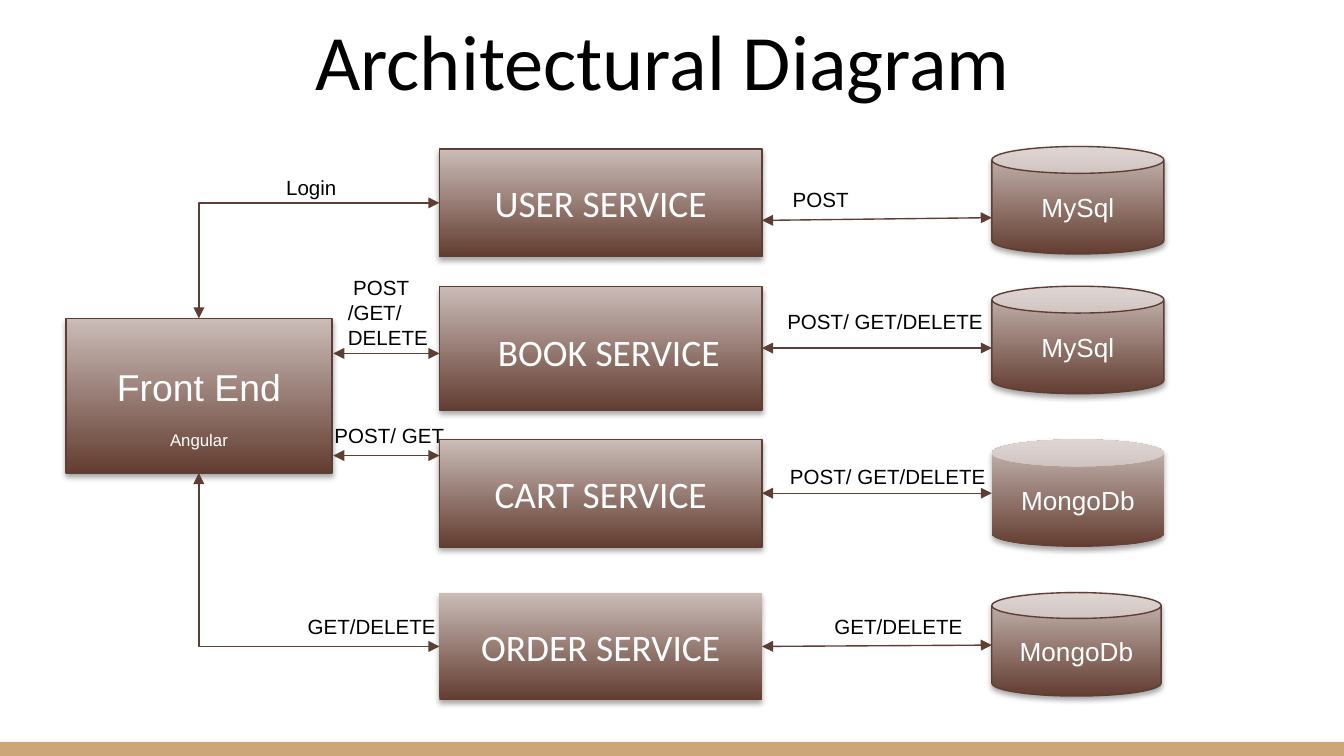
from lxml.etree import SubElement
from pptx import Presentation
from pptx.dml.color import RGBColor
from pptx.enum.shapes import MSO_CONNECTOR, MSO_SHAPE
from pptx.enum.text import MSO_ANCHOR, MSO_AUTO_SIZE, PP_ALIGN
from pptx.oxml.ns import qn
from pptx.util import Inches, Pt

BLACK = RGBColor(0x00, 0x00, 0x00)
WHITE = RGBColor(0xFF, 0xFF, 0xFF)
DARK_BROWN = RGBColor(0x63, 0x3D, 0x31)
PALE_BROWN = RGBColor(0xCB, 0xBC, 0xB8)
OUTLINE = RGBColor(0x5C, 0x3E, 0x35)
TAN = RGBColor(0xCC, 0xA6, 0x77)

TITLE_FONT = {"name": "Calibri", "size": Pt(42), "bold": False}
SERVICE_FONT = {"name": "Calibri", "size": Pt(20)}
FRONT_END_FONT = {"name": "Arial", "size": Pt(20)}
ANGULAR_FONT = {"name": "Arial", "size": Pt(9)}
DATABASE_FONT = {"name": "Arial", "size": Pt(14)}
LABEL_FONT = {"name": "Arial", "size": Pt(11)}

# Column edges shared by the boxes and the arrows between them
FRONT_CENTER, FRONT_RIGHT = 1.48, 2.48
SERVICE_LEFT, SERVICE_WIDTH = 3.27, 2.4
SERVICE_RIGHT = SERVICE_LEFT + SERVICE_WIDTH
DATABASE_LEFT = 7.38

# name, top, height, outlined
SERVICES = [
    ("USER SERVICE", 1.11, 0.8, True),
    ("CART SERVICE", 3.27, 0.8, True),
    ("ORDER SERVICE", 4.41, 0.8, False),
]
# name, top, width, height, outlined
DATABASES = [
    ("MySql", 1.09, 1.28, 0.8, True),
    ("MySql", 2.13, 1.28, 0.8, True),
    ("MongoDb", 3.27, 1.28, 0.8, False),
    ("MongoDb", 4.41, 1.26, 0.77, True),
]
# y at the service, y at the database
DATABASE_ARROWS = [(1.64, 1.62), (2.59, 2.59), (3.67, 3.67), (4.81, 4.8)]
FRONT_END_ARROWS = [2.63, 3.39]
# y at the service, y at the front end
BENT_ARROWS = [(1.51, 2.37), (4.81, 3.52)]
# text, left, top, width, height, indent of the first line
LABELS = [
    ("POST", 5.76, 1.34, 1.28, 0.29, 0.04),
    ("POST/ GET/DELETE", 5.76, 2.25, 1.67, 0.29, 0),
    ("POST/ GET/DELETE", 5.78, 3.4, 1.67, 0.29, 0),
    ("GET/DELETE", 6.07, 4.52, 1.21, 0.29, 0.04),
    ("Login", 1.99, 1.25, 1.28, 0.28, 0.04),
    ("POST\v/GET/\nDELETE", 2.49, 2, 0.9, 0.66, 0.04),
    ("POST/ GET", 2.39, 3.1, 1.28, 0.29, 0),
    ("GET/DELETE", 2.15, 4.52, 1.28, 0.29, 0.04),
]


def apply_format(target, values):
    for name, value in values.items():
        setattr(target, name, value)


def style_text(paragraph, font, color, align=PP_ALIGN.CENTER):
    paragraph.alignment = align
    apply_format(paragraph.font, font)
    paragraph.font.color.rgb = color


def style_box(shape, outlined=True):
    """Brown gradient, thin outline and soft shadow below."""
    shape.fill.gradient()
    shape.fill.gradient_angle = 90
    for stop, color in zip(shape.fill.gradient_stops, (DARK_BROWN, PALE_BROWN)):
        stop.color.rgb = color
    if outlined:
        shape.line.color.rgb = OUTLINE
        shape.line.width = Pt(0.75)
    else:
        shape.line.fill.background()
    shape.shadow.inherit = False
    effects = shape._element.spPr.find(qn("a:effectLst"))
    shadow = SubElement(effects, qn("a:outerShdw"), blurRad=str(Pt(3.1)),
                        dist=str(Pt(1.8)), dir="5400000", rotWithShape="0")
    color = SubElement(shadow, qn("a:srgbClr"), val=str(BLACK))
    SubElement(color, qn("a:alpha"), val="35000")


def add_box(slide, kind, text, bounds, font, outlined=True):
    box = slide.shapes.add_shape(kind, *map(Inches, bounds))
    style_box(box, outlined)
    frame = box.text_frame
    apply_format(frame, {"text": text, "word_wrap": True,
                         "vertical_anchor": MSO_ANCHOR.MIDDLE})
    style_text(frame.paragraphs[0], font, WHITE)
    return box


def add_arrow(slide, start, end, bent=False):
    """Two-headed arrow; a bent one runs across first, then up or down."""
    kind = MSO_CONNECTOR.ELBOW if bent else MSO_CONNECTOR.STRAIGHT
    arrow = slide.shapes.add_connector(kind, *map(Inches, (*start, *end)))
    arrow.line.color.rgb = OUTLINE
    arrow.line.width = Pt(0.75)
    properties = arrow._element.spPr
    if bent:
        properties.find(qn("a:prstGeom")).set("prst", "bentConnector2")
    for tip in ("a:headEnd", "a:tailEnd"):
        SubElement(properties.find(qn("a:ln")), qn(tip), type="triangle")
    SubElement(properties, qn("a:effectLst"))


def add_label(slide, text, left, top, width, height, indent):
    label = slide.shapes.add_textbox(*map(Inches, (left, top, width, height)))
    frame = label.text_frame
    apply_format(frame, {"text": text, "word_wrap": True})
    for paragraph in frame.paragraphs:
        style_text(paragraph, LABEL_FONT, BLACK, PP_ALIGN.LEFT)
    if indent:
        frame.paragraphs[0]._p.get_or_add_pPr().set("indent", str(Inches(indent)))


def fill_placeholder(shape, text, bounds, anchor):
    edges = ("left", "top", "width", "height")
    apply_format(shape, dict(zip(edges, map(Inches, bounds))))
    inset = Inches(0.1)
    apply_format(shape.text_frame, {
        "text": text, "word_wrap": True,
        "auto_size": MSO_AUTO_SIZE.NONE, "vertical_anchor": anchor,
        "margin_left": inset, "margin_right": inset,
        "margin_top": inset, "margin_bottom": inset})
    return shape.text_frame.paragraphs[0]


def add_title(slide):
    heading = fill_placeholder(slide.shapes.title, "Architectural Diagram",
                               (0.27, -0.02, 9.32, 0.91), MSO_ANCHOR.BOTTOM)
    style_text(heading, TITLE_FONT, BLACK)


def add_bottom_band(slide):
    band = slide.shapes.add_shape(MSO_SHAPE.RECTANGLE, 0, Inches(5.52),
                                  Inches(10), Inches(0.11))
    band.fill.solid()
    band.fill.fore_color.rgb = TAN
    band.line.fill.background()
    band.shadow.inherit = False


def add_book_service(slide):
    book = slide.placeholders[1]
    style_box(book)
    name = fill_placeholder(book, "BOOK SERVICE",
                            (SERVICE_LEFT, 2.13, SERVICE_WIDTH, 0.92),
                            MSO_ANCHOR.MIDDLE)
    apply_format(name, {"line_spacing": 1.15, "space_before": Pt(0)})
    properties = name._p.get_or_add_pPr()
    properties.set("marL", str(Inches(0.12)))
    properties.set("indent", "0")
    SubElement(properties, qn("a:buNone"))
    style_text(name, SERVICE_FONT, WHITE)


def add_front_end(slide):
    front_end = add_box(slide, MSO_SHAPE.RECTANGLE, "Front End",
                        (0.49, 2.37, 1.98, 1.15), FRONT_END_FONT)
    frame = front_end.text_frame
    frame.margin_top = Inches(0.22)
    angular = frame.add_paragraph()
    apply_format(angular, {"text": "Angular", "space_before": Pt(11)})
    style_text(angular, ANGULAR_FONT, WHITE)


def main():
    presentation = Presentation()
    # Widescreen, 16:9
    presentation.slide_width = Inches(10)
    presentation.slide_height = Inches(10) * 9 // 16
    slide = presentation.slides.add_slide(presentation.slide_layouts[1])

    # Title and bottom band
    add_title(slide)
    add_bottom_band(slide)

    # Front end, services and databases
    add_front_end(slide)
    add_book_service(slide)
    for name, top, height, outlined in SERVICES:
        add_box(slide, MSO_SHAPE.RECTANGLE, name,
                (SERVICE_LEFT, top, SERVICE_WIDTH, height), SERVICE_FONT, outlined)
    for name, top, width, height, outlined in DATABASES:
        add_box(slide, MSO_SHAPE.CAN, name,
                (DATABASE_LEFT, top, width, height), DATABASE_FONT, outlined)

    # Arrows
    for service_y, database_y in DATABASE_ARROWS:
        add_arrow(slide, (SERVICE_RIGHT, service_y), (DATABASE_LEFT, database_y))
    for y in FRONT_END_ARROWS:
        add_arrow(slide, (FRONT_RIGHT, y), (SERVICE_LEFT, y))
    for service_y, front_y in BENT_ARROWS:
        add_arrow(slide, (SERVICE_LEFT, service_y), (FRONT_CENTER, front_y), bent=True)

    # Request labels
    for label in LABELS:
        add_label(slide, *label)

    presentation.save("out.pptx")


if __name__ == "__main__":
    main()
